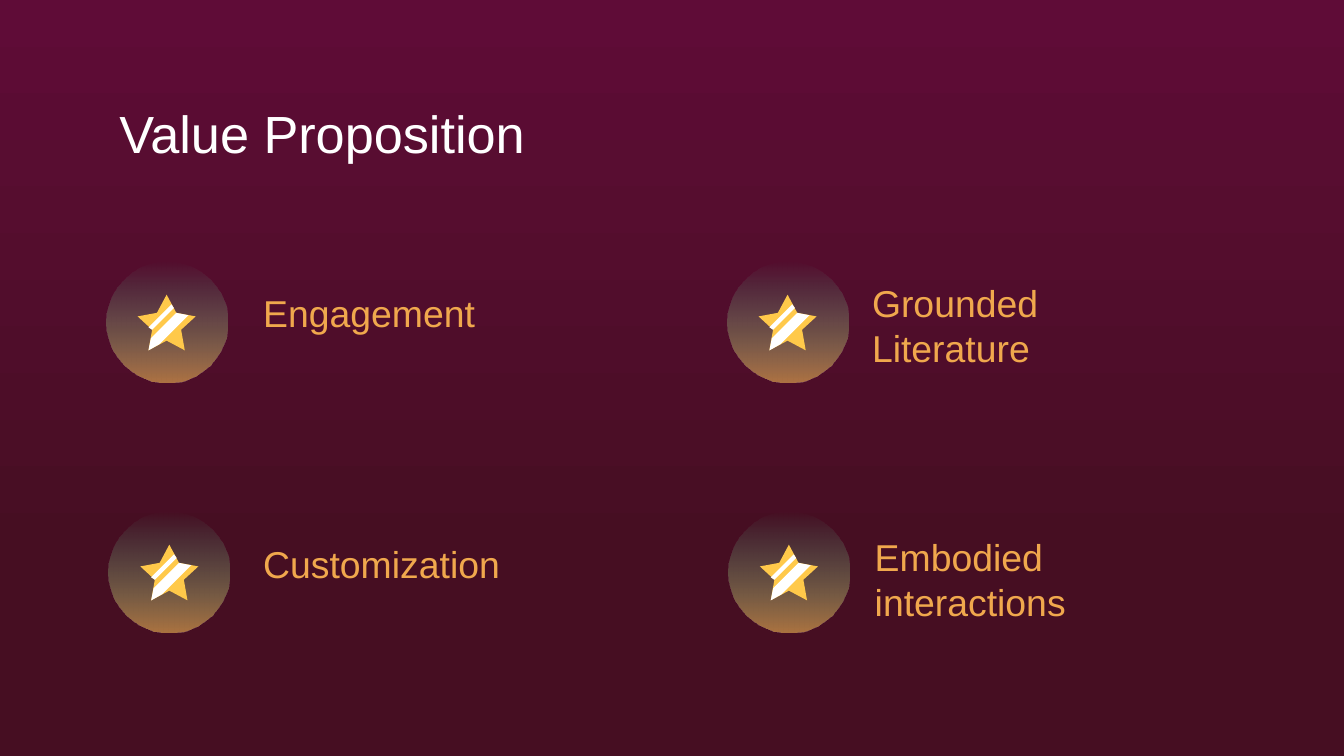
from pptx import Presentation, util as u
from pptx.dml.color import RGBColor
from pptx.enum import shapes, text
from pptx.oxml import ns, xmlchemy

WIDTH, HEIGHT = u.Inches(10), u.Inches(10) * 9 // 16
FONT = "Arial"
PLUM = RGBColor(0x5F, 0x0C, 0x37)
WINE = RGBColor(0x46, 0x0E, 0x22)
WHITE = RGBColor(0xFF, 0xFF, 0xFF)
AMBER = RGBColor(0xF0, 0xA8, 0x4D)
STAR_GOLD = RGBColor(0xFF, 0xC9, 0x4A)
GLOW_GOLD = RGBColor(0xFE, 0xC6, 0x59)
GLOW_MINT = RGBColor(0x4A, 0xFF, 0xC3)

# Star badge: outlines in hundredths of the badge's diameter
BADGE = 0.9
STAR = [(50, 27), (42, 42), (26, 45), (38, 56), (35, 73), (50, 65),
        (65, 73), (62, 56), (74, 45), (58, 42)]
THIN_STRIPE = [(54, 35), (35, 54), (38, 56), (56, 38)]
WIDE_STRIPE = [(58, 42), (37, 63), (35, 73), (44, 68), (68, 44)]

# Each proposition: wording, badge corner, label box
PROPOSITIONS = [
    ("Engagement", (0.79, 1.95), (1.86, 2.13, 2.16, 0.46)),
    ("Customization", (0.81, 3.81), (1.86, 4.00, 2.40, 0.46)),
    ("Grounded Literature", (5.41, 1.95), (6.39, 1.95, 1.97, 0.90)),
    ("Embodied interactions", (5.42, 3.81), (6.41, 3.77, 2.38, 0.97)),
]


def paint_gradient(fill, stops, angle):
    fill.gradient()
    fill.gradient_angle = angle
    for stop, (position, color) in zip(fill.gradient_stops, stops):
        stop.position = position
        stop.color.rgb = color


def add_text(slide, box, wording, size, color, anchor):
    frame = slide.shapes.add_textbox(*map(u.Inches, box)).text_frame
    frame.word_wrap = True
    frame.vertical_anchor = anchor
    frame.margin_left = frame.margin_right = u.Inches(0.1)
    frame.margin_top = frame.margin_bottom = u.Inches(0.1)
    line = frame.paragraphs[0]
    line.text = wording
    line.font.name, line.font.size = FONT, u.Pt(size)
    line.font.color.rgb = color


def add_badge(slide, left, top, diameter):
    badge = slide.shapes.add_group_shape().shapes

    # Glowing disc, fading out towards the top
    disc = badge.add_shape(shapes.MSO_SHAPE.OVAL,
                           *map(u.Inches, (left, top, diameter, diameter)))
    disc.shadow.inherit = False
    disc.line.fill.background()
    paint_gradient(disc.fill, [(0, GLOW_GOLD), (1, GLOW_MINT)], 90)
    stop_colors = disc._element.spPr.iter(ns.qn("a:srgbClr"))
    for stop_color, opacity in zip(list(stop_colors), (55, 0)):
        alpha = xmlchemy.OxmlElement("a:alpha")
        alpha.set("val", str(opacity * 1000))
        stop_color.append(alpha)

    # Star with two shining stripes
    for outline, color in ((STAR, STAR_GOLD), (THIN_STRIPE, WHITE),
                           (WIDE_STRIPE, WHITE)):
        builder = badge.build_freeform(*outline[0],
                                       scale=u.Inches(diameter) / 100)
        builder.add_line_segments(outline[1:], close=True)
        part = builder.convert_to_shape(u.Inches(left), u.Inches(top))
        part.shadow.inherit = False
        part.fill.solid()
        part.fill.fore_color.rgb = color
        part.line.fill.background()


def add_proposition(slide, wording, badge_corner, label_box):
    add_text(slide, label_box, wording, 20, AMBER, text.MSO_ANCHOR.BOTTOM)
    add_badge(slide, *badge_corner, BADGE)


def main():
    deck = Presentation()
    deck.slide_width, deck.slide_height = WIDTH, HEIGHT
    slide = deck.slides.add_slide(deck.slide_layouts[6])
    paint_gradient(slide.background.fill, [(0, PLUM), (0.74, WINE)], 270)

    # Heading
    add_text(slide, (0.79, 0.65, 4.21, 0.63), "Value Proposition", 28, WHITE,
             text.MSO_ANCHOR.TOP)

    # Four propositions, each a badge with its label
    for proposition in PROPOSITIONS:
        add_proposition(slide, *proposition)
    deck.save("out.pptx")


if __name__ == "__main__":
    main()
